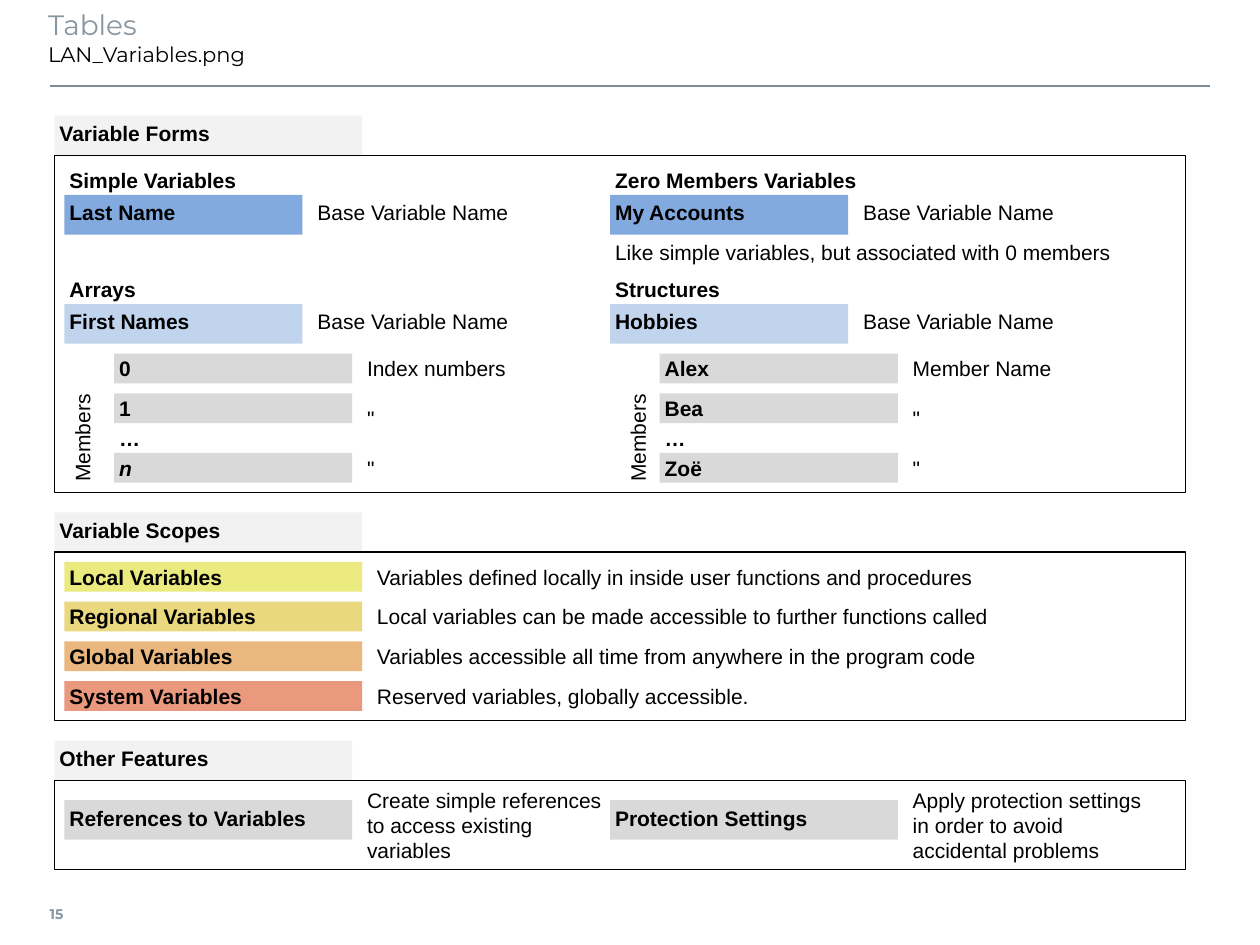
from lxml.etree import SubElement
from pptx import Presentation
from pptx.dml.color import RGBColor
from pptx.enum.shapes import MSO_CONNECTOR, MSO_SHAPE
from pptx.enum.text import MSO_ANCHOR as ANCHOR, MSO_AUTO_SIZE as AUTO, PP_ALIGN as ALIGN
from pptx.oxml.ns import qn
from pptx.util import Cm, Pt

BLACK = RGBColor(0x00, 0x00, 0x00)
SLATE = RGBColor(0x89, 0x96, 0xA0)
RULE = RGBColor(0x80, 0x8D, 0x97)
PALE = RGBColor(0xF2, 0xF2, 0xF2)
GREY = RGBColor(0xD9, 0xD9, 0xD9)
BLUE = RGBColor(0x83, 0xAA, 0xDE)
LIGHT_BLUE = RGBColor(0xC1, 0xD4, 0xEE)
YELLOW = RGBColor(0xEA, 0xEA, 0x7E)
GOLD = RGBColor(0xEA, 0xD8, 0x7E)
ORANGE = RGBColor(0xEA, 0xB7, 0x7E)
RED = RGBColor(0xEA, 0x98, 0x7E)

# Grid in cm
FRAME_X, FRAME_W = 1.1, 22.8
COLUMNS = (1.3, 12.3)
ROW_H, BAR_H = 0.6, 0.8


def add_run(p, text, size=12, font="Arial", color=BLACK, bold=False, italic=False):
    r = p.add_run()
    r.text = text
    r.font.size, r.font.name = Pt(size), font
    r.font.bold, r.font.italic = bold, italic
    r.font.color.rgb = color


def fill_text(tf, text, anchor=ANCHOR.TOP, align=ALIGN.LEFT, margins=(0.1,) * 4, **fmt):
    """Write one paragraph per line of text, unwrapped."""
    tf.word_wrap = False
    tf.auto_size = AUTO.NONE
    tf.vertical_anchor = anchor
    tf.margin_left, tf.margin_top, tf.margin_right, tf.margin_bottom = map(Cm, margins)
    for i, line in enumerate(text.split("\n")):
        p = tf.add_paragraph() if i else tf.paragraphs[0]
        p.alignment = align
        add_run(p, line, **fmt)


class Page:
    """The slide being built, with one method per kind of element."""

    def __init__(self, prs):
        self.slide = prs.slides.add_slide(prs.slide_layouts[5])
        self.shapes = self.slide.shapes

    def title(self, heading, subheading):
        sp = self.shapes.title
        sp.left, sp.top, sp.width, sp.height = Cm(0.97), Cm(0.03), Cm(23.4), Cm(1.6)
        tf = sp.text_frame
        tf.word_wrap, tf.auto_size = True, AUTO.NONE
        tf.vertical_anchor = ANCHOR.TOP
        tf.margin_left = 0
        p = tf.paragraphs[0]
        p.alignment, p.line_spacing = ALIGN.LEFT, 1.0
        add_run(p, heading, 16, "Montserrat", SLATE)
        p.add_line_break()
        add_run(p, subheading, 12, "Montserrat")

    def rule(self, x1, x2, y):
        line = self.shapes.add_connector(MSO_CONNECTOR.STRAIGHT, Cm(x1), Cm(y), Cm(x2), Cm(y))
        line.line.color.rgb, line.line.width = RULE, Pt(1)
        SubElement(line._element.spPr, qn("a:effectLst"))

    def rect(self, x, y, w, h):
        sp = self.shapes.add_shape(MSO_SHAPE.RECTANGLE, Cm(x), Cm(y), Cm(w), Cm(h))
        sp.shadow.inherit = False
        return sp

    def bar(self, text, x, y, w, h, color, **fmt):
        sp = self.rect(x, y, w, h)
        sp.fill.solid()
        sp.fill.fore_color.rgb = color
        sp.line.fill.background()
        fill_text(sp.text_frame, text, bold=True, **fmt)

    def frame(self, y, h):
        sp = self.rect(FRAME_X, y, FRAME_W, h)
        sp.fill.background()
        sp.line.color.rgb, sp.line.width = BLACK, Pt(0.75)

    def label(self, text, x, y, w, h, rotation=0, **fmt):
        sp = self.shapes.add_textbox(Cm(x), Cm(y), Cm(w), Cm(h))
        sp.rotation = rotation
        fill_text(sp.text_frame, text, **fmt)

    def section(self, text, y, tab_w, h):
        """A grey tab with an outlined frame directly below it."""
        self.bar(text, FRAME_X, y, tab_w, BAR_H, PALE)
        self.frame(y + BAR_H, h)

    def variable(self, kind, name, x, y, color):
        """A kind of variable, its name bar and the bar's explanation."""
        self.label(kind, x, y, 6, ROW_H, anchor=ANCHOR.MIDDLE, bold=True)
        self.bar(name, x, y + ROW_H, 4.8, BAR_H, color)
        self.label("Base Variable Name", x + 5, y + ROW_H, 4.2, BAR_H)

    def members(self, names, note, x, y):
        middle = {"anchor": ANCHOR.MIDDLE}
        for name, dy in zip(names, (0, 0.8, 2)):
            self.bar(name, x + 1, y + dy, 4.8, ROW_H, GREY, italic=name == "n", **middle)
        self.label("…", x + 1, y + 1.4, 3.8, ROW_H, bold=True, **middle)
        for i, text in enumerate((note, '"', '"')):
            self.label(text, x + 6, y + i, 3.2, ROW_H, **middle)


def main():
    prs = Presentation()
    prs.slide_width, prs.slide_height = Cm(25.4), Cm(19.05)
    page = Page(prs)
    page.title("Tables", "LAN_Variables.png")
    page.rule(1, 24.4, 1.73)
    page.label("15", 1, 17.93, 0.9, 1, anchor=ANCHOR.MIDDLE, margins=(0, 0.13, 0.2, 0.13),
               size=8, font="Montserrat", color=SLATE, bold=True)

    page.section("Variable Forms", 2.33, 6.2, 6.8)
    forms = (
        ("Simple Variables", "Last Name", "Arrays", "First Names", "01n", "Index numbers", 0),
        ("Zero Members Variables", "My Accounts", "Structures", "Hobbies",
         ("Alex", "Bea", "Zoë"), "Member Name", 11.2),
    )
    for x, (plain, plain_name, group, group_name, names, note, members_x) in zip(COLUMNS, forms):
        page.variable(plain, plain_name, x, 3.33, BLUE)
        page.variable(group, group_name, x, 5.53, LIGHT_BLUE)
        page.members(names, note, x, 7.13)
        page.label("Members", members_x, 8.43, 3.4, BAR_H, rotation=270, align=ALIGN.CENTER)
    page.label("Like simple variables, but associated with 0 members",
               COLUMNS[1], 4.73, 4.2, BAR_H)

    page.section("Variable Scopes", 10.33, 6.2, 3.4)
    scopes = (
        ("Local", YELLOW, "Variables defined locally in inside user functions and procedures"),
        ("Regional", GOLD, "Local variables can be made accessible to further functions called"),
        ("Global", ORANGE, "Variables accessible all time from anywhere in the program code"),
        ("System", RED, "Reserved variables, globally accessible."),
    )
    for i, (scope, color, text) in enumerate(scopes):
        y = 11.33 + 0.8 * i
        page.bar(f"{scope} Variables", COLUMNS[0], y, 6, ROW_H, color, anchor=ANCHOR.MIDDLE)
        page.label(text, 7.5, y, 13.2, ROW_H, anchor=ANCHOR.MIDDLE)

    page.section("Other Features", 14.93, 6, 1.8)
    features = (
        ("References to Variables",
         "Create simple references\nto access existing\nvariables"),
        ("Protection Settings",
         "Apply protection settings\nin order to avoid\naccidental problems"),
    )
    for x, (name, text) in zip(COLUMNS, features):
        page.bar(name, x, 16.13, 5.8, BAR_H, GREY)
        page.label(text, x + 6, 15.73, 5.6, 1.8, anchor=ANCHOR.MIDDLE)

    prs.save("out.pptx")


if __name__ == "__main__":
    main()
